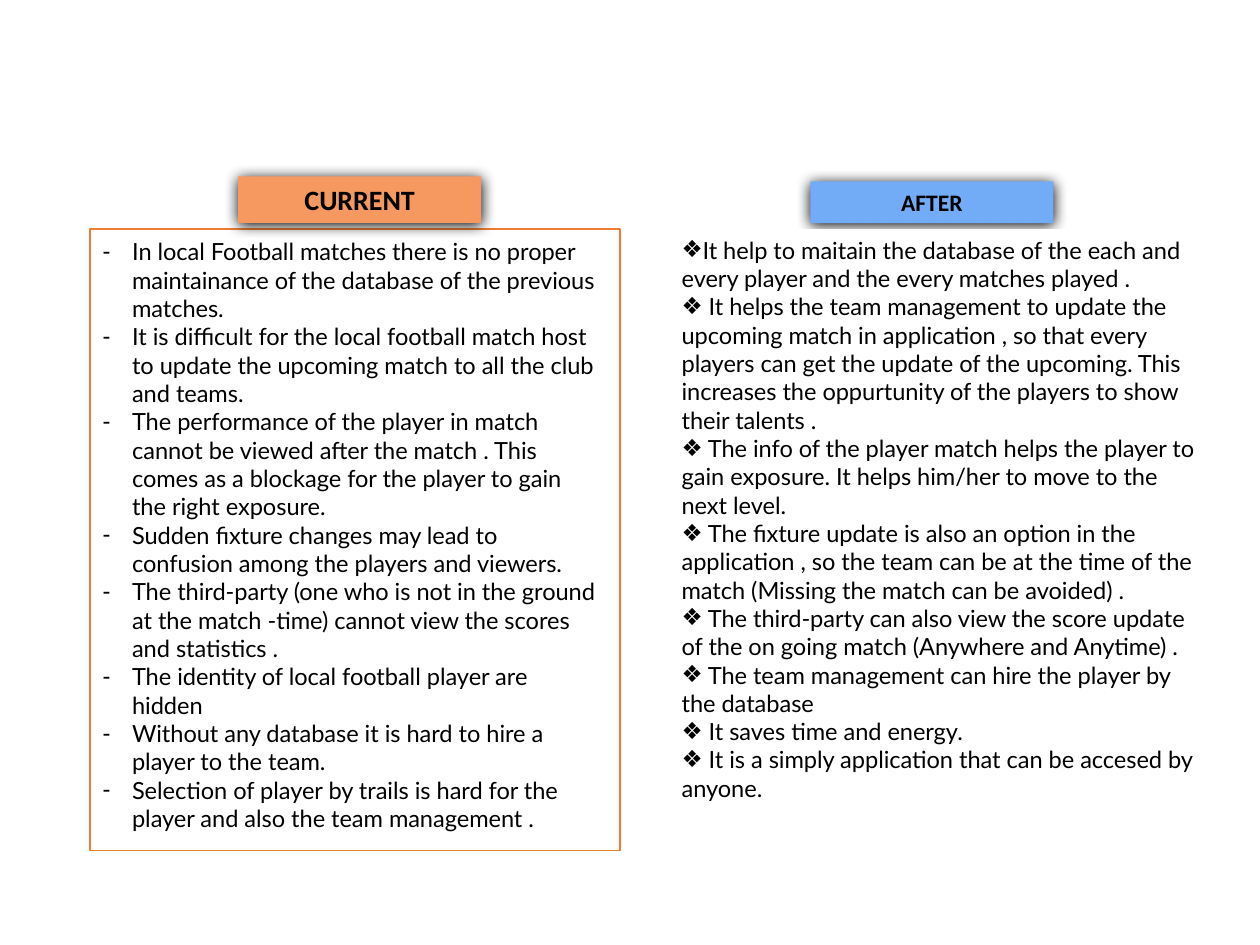
from lxml import etree
from pptx import Presentation
from pptx.dml.color import RGBColor
from pptx.enum.shapes import MSO_SHAPE
from pptx.enum.text import MSO_ANCHOR, MSO_AUTO_SIZE, PP_ALIGN
from pptx.oxml import parse_xml
from pptx.oxml.ns import nsdecls, qn
from pptx.util import Pt

RECTANGLE = MSO_SHAPE.RECTANGLE
TOP, MIDDLE = MSO_ANCHOR.TOP, MSO_ANCHOR.MIDDLE
LEFT, CENTER = PP_ALIGN.LEFT, PP_ALIGN.CENTER
NO_AUTOFIT = MSO_AUTO_SIZE.NONE

BLACK = RGBColor(0x00, 0x00, 0x00)
WHITE = RGBColor(0xFF, 0xFF, 0xFF)
ORANGE = RGBColor(0xF6, 0x99, 0x60)
DARK_ORANGE = RGBColor(0xED, 0x7D, 0x31)
BLUE = RGBColor(0x72, 0xAB, 0xF6)

CURRENT_POINTS = [
    "In local Football matches there is no proper maintainance of the database of the previous matches.",
    "It is difficult for the local football match host to update the upcoming match to all the club and teams.",
    "The performance of the player in match cannot be viewed after the match . This comes as a blockage for the player to gain the right exposure.",
    "Sudden fixture changes may lead to confusion among the players and viewers.",
    "The third-party (one who is not in the ground at the match -time) cannot view the scores and statistics .",
    "The identity of local football player are hidden",
    "Without any database it is hard to hire a player to the team.",
    "Selection of player by trails is hard for the player and also the team management .",
]
AFTER_POINTS = [
    "It help to maitain the database of the each and every player and the every matches played .",
    " It helps the team management to update the upcoming match in application , so that every players can get the update of the upcoming. This increases the oppurtunity of the players to show their talents .",
    " The info of the player match helps the player to gain exposure. It helps him/her to move to the next level.",
    " The fixture update is also an option in the application , so the team can be at the time of the match (Missing the match can be avoided) .",
    " The third-party can also view the score update of the on going match (Anywhere and Anytime) .",
    " The team management can hire the player by the database",
    " It saves time and energy.",
    " It is a simply application that can be accesed by anyone.",
]


class ComparisonSlide:
    heading_font = "Calibri"
    list_font = "Lato"
    list_size = 13.5

    def __init__(self, slide):
        self.slide = slide

    def place(self, shape, box):
        for name, value in zip(("left", "top", "width", "height"), box):
            setattr(shape, name, Pt(value))

    def paint(self, shape, color):
        shape.fill.solid()
        shape.fill.fore_color.rgb = color
        shape.line.fill.background()

    def frame(self, box, color):
        border = self.slide.shapes.add_shape(RECTANGLE, *map(Pt, box))
        self.paint(border, WHITE)
        border.line.color.rgb = color
        border.line.width = Pt(1)
        border.shadow.inherit = False
        self.slide.shapes._spTree.insert(2, border._element)

    def set_text(self, shape, lines, anchor, alignment, font):
        text = shape.text_frame
        frame_format = {
            "auto_size": NO_AUTOFIT, "word_wrap": True, "vertical_anchor": anchor,
            "margin_left": Pt(7.2), "margin_right": Pt(7.2),
            "margin_top": Pt(3.6), "margin_bottom": Pt(3.6),
        }
        for name, value in frame_format.items():
            setattr(text, name, value)
        text.text = "\n".join(lines)
        for paragraph in text.paragraphs:
            paragraph.alignment = alignment
            paragraph.space_before = Pt(0)
            run_font = paragraph.runs[0].font
            for name, value in font.items():
                setattr(run_font, name, value)
            run_font.color.rgb = BLACK
        return text.paragraphs

    def heading(self, index, label, box, color, size):
        banner = self.slide.placeholders[index]
        self.place(banner, box)
        self.paint(banner, color)
        banner._element.spPr.append(parse_xml(
            f'<a:effectLst {nsdecls("a")}>'
            f'<a:outerShdw blurRad="{Pt(8.5)}" dist="{Pt(1)}" dir="5400000" rotWithShape="0">'
            f'<a:srgbClr val="{BLACK}"/></a:outerShdw></a:effectLst>'))
        font = {"name": self.heading_font, "size": Pt(size), "bold": True}
        self.set_text(banner, [label], MIDDLE, CENTER, font)

    def bullets(self, index, points, box, mark, hanging=0, fill=None):
        body = self.slide.placeholders[index]
        self.place(body, box)
        if fill is not None:
            self.paint(body, fill)
        font = {"name": self.list_font, "size": Pt(self.list_size), "bold": False}
        for paragraph in self.set_text(body, points, TOP, LEFT, font):
            properties = paragraph._p.get_or_add_pPr()
            properties.set("marL", str(Pt(hanging)))
            properties.set("indent", str(Pt(-hanging)))
            etree.SubElement(properties, qn("a:buChar")).set("char", mark)


def main():
    deck = Presentation()
    deck.slide_width, deck.slide_height = Pt(720), Pt(540)
    slide = deck.slides.add_slide(deck.slide_layouts[4])
    title = slide.shapes.title._element
    title.getparent().remove(title)

    comparison = ComparisonSlide(slide)
    comparison.frame((51.4, 131, 303, 355), DARK_ORANGE)
    comparison.heading(1, "CURRENT", (136, 100.8, 139, 26.6), ORANGE, 16)
    comparison.bullets(2, CURRENT_POINTS, (51.4, 132, 299.5, 384), "-", hanging=16.9)
    comparison.heading(3, "AFTER", (463, 103.7, 139, 23.8), BLUE, 13.5)
    comparison.bullets(4, AFTER_POINTS, (382.3, 131, 311.8, 350.6), "❖", fill=WHITE)
    deck.save("out.pptx")


if __name__ == "__main__":
    main()
